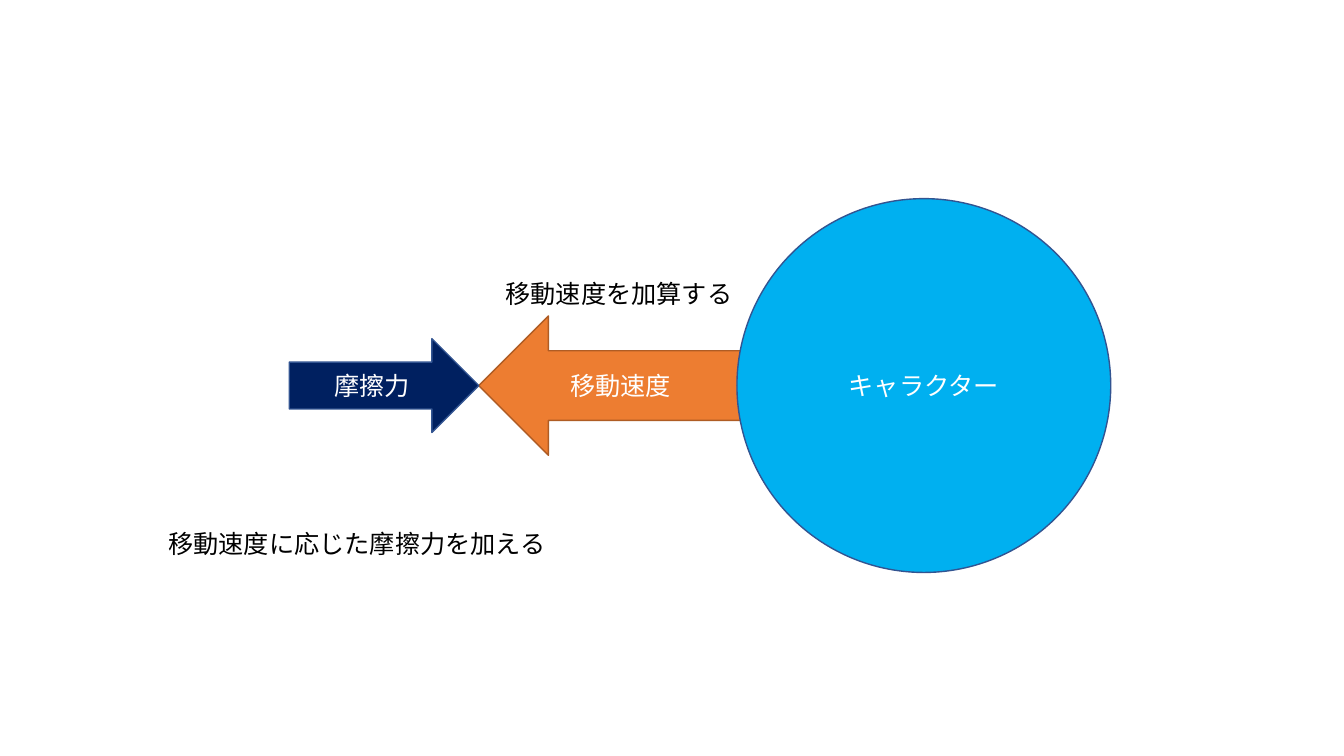
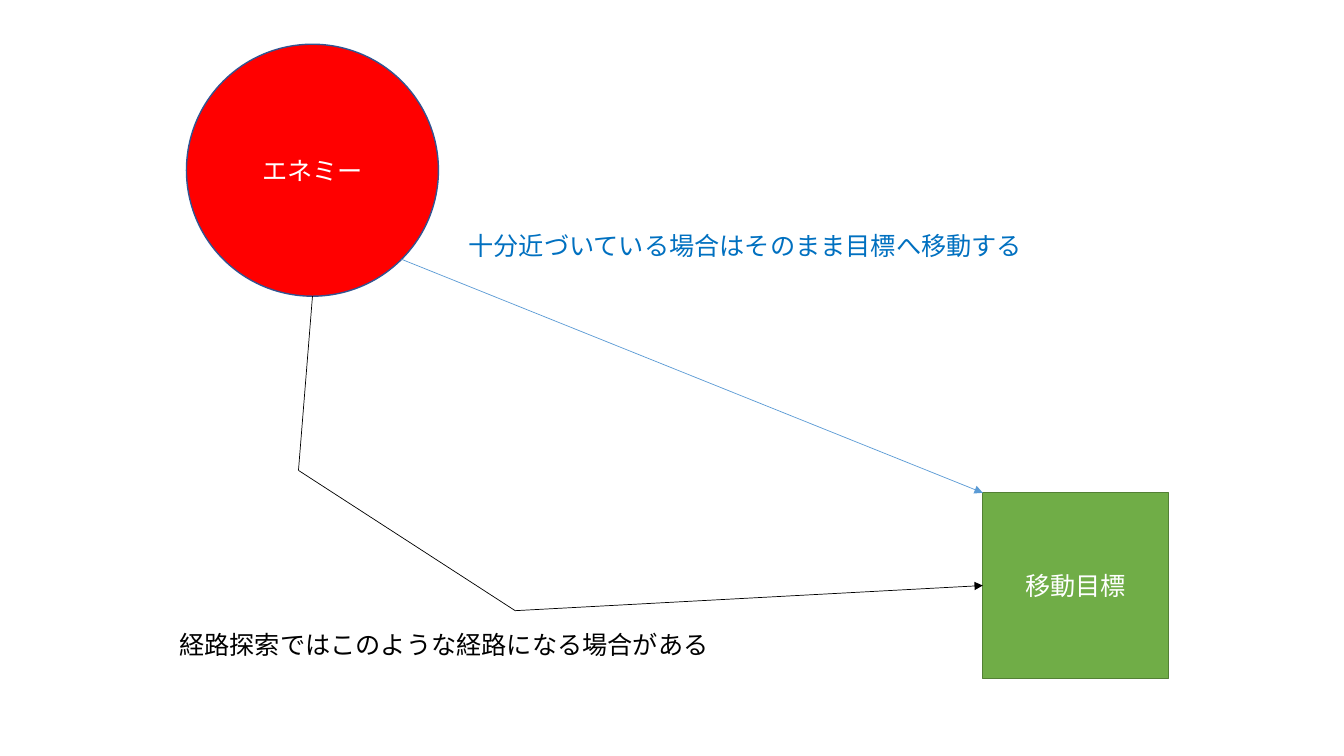
from itertools import pairwise
from math import sqrt

from lxml.etree import SubElement
from pptx import Presentation
from pptx.dml.color import RGBColor
from pptx.enum.shapes import MSO_CONNECTOR as CONNECTOR, MSO_SHAPE as SHAPE
from pptx.enum.text import MSO_ANCHOR as ANCHOR, MSO_AUTO_SIZE as AUTO_SIZE, PP_ALIGN as ALIGN
from pptx.oxml.ns import qn
from pptx.util import Pt

FONT = "Noto Sans CJK JP"
WHITE = "FFFFFF"
BLACK = "000000"
NAVY_EDGE = "325491"


def color(value):
    return RGBColor.from_string(value)


def write(frame, text, size=18, ink=BLACK, align=ALIGN.LEFT, anchor=ANCHOR.TOP):
    frame.word_wrap = True
    frame.vertical_anchor = anchor
    para = frame.paragraphs[0]
    para.alignment = align
    span = para.add_run()
    span.text = text
    span.font.size = Pt(size)
    span.font.name = FONT
    span.font.color.rgb = color(ink)
    SubElement(span.font._element, qn("a:ea"), typeface=FONT)


class Diagram:
    def __init__(self):
        self.deck = Presentation()
        self.deck.slide_width, self.deck.slide_height = Pt(960), Pt(540)
        self.page = None

    def new_page(self):
        self.page = self.deck.slides.add_slide(self.deck.slide_layouts[6])

    def shape(self, kind, left, top, width, height, fill, edge=NAVY_EDGE, text="", turn=0):
        shape = self.page.shapes.add_shape(kind, Pt(left), Pt(top), Pt(width), Pt(height))
        shape.shadow.inherit = False
        shape.rotation = turn
        shape.fill.solid()
        shape.fill.fore_color.rgb = color(fill)
        shape.line.color.rgb = color(edge)
        shape.line.width = Pt(1)
        if text:
            write(shape.text_frame, text, ink=WHITE, align=ALIGN.CENTER, anchor=ANCHOR.MIDDLE)

    def label(self, text, left, top, width, ink=BLACK):
        box = self.page.shapes.add_textbox(Pt(left), Pt(top), Pt(width), Pt(29))
        write(box.text_frame, text, ink=ink)
        box.text_frame.auto_size = AUTO_SIZE.SHAPE_TO_FIT_TEXT

    def route(self, points, ink=BLACK):
        for start, end in pairwise(points):
            line = self.page.shapes.add_connector(
                CONNECTOR.STRAIGHT, *(Pt(value) for value in (*start, *end)))
            line.line.color.rgb = color(ink)
            line.line.width = Pt(0.5)
            properties = line._element.spPr
            if end == points[-1]:
                SubElement(properties.find(qn("a:ln")), qn("a:tailEnd"), type="triangle")
            SubElement(properties, qn("a:effectLst"))

    def save(self):
        self.deck.save("out.pptx")


def friction_page(diagram):
    middle = 275.4
    meeting = 342
    speed_height, character_size, friction_width, friction_height = 99.5, 267, 135.4, 67
    diagram.new_page()
    diagram.shape(SHAPE.RIGHT_ARROW, meeting, middle - speed_height / 2, 200, speed_height,
                  "ED7D31", "AF5C24", turn=180)
    diagram.shape(SHAPE.OVAL, 526.4, middle - character_size / 2, character_size, character_size,
                  "00B0F0", text="キャラクター")
    diagram.shape(SHAPE.RIGHT_ARROW, meeting - friction_width, middle - friction_height / 2,
                  friction_width, friction_height, "002060", text="摩擦力")
    diagram.label("移動速度", 400.3, 260.8, 94, WHITE)
    diagram.label("移動速度を加算する", 354, 195, 186)
    diagram.label("移動速度に応じた摩擦力を加える", 113.2, 373.8, 287)


def path_page(diagram):
    enemy_left, enemy_top, enemy_size = 133.2, 31.6, 180
    target_left, target_top, target_size = 702, 352, 132.5
    radius = enemy_size / 2
    center_x, center_y = enemy_left + radius, enemy_top + radius
    diagonal = radius / sqrt(2)
    diagram.new_page()
    diagram.shape(SHAPE.OVAL, enemy_left, enemy_top, enemy_size, enemy_size,
                  "FF0000", text="エネミー")
    diagram.shape(SHAPE.RECTANGLE, target_left, target_top, target_size, target_size,
                  "70AD47", "538035", "移動目標")
    diagram.route([(center_x, center_y + radius), (213.2, 336), (368, 436.2),
                   (target_left, target_top + target_size / 2)])
    diagram.route([(center_x + diagonal, center_y + diagonal), (target_left, target_top)], "5B9BD5")
    diagram.label("経路探索ではこのような経路になる場合がある", 121, 445.8, 402.5)
    diagram.label("十分近づいている場合はそのまま目標へ移動する", 327.6, 160.6, 415.5, "0070C0")


diagram = Diagram()
friction_page(diagram)
path_page(diagram)
diagram.save()
